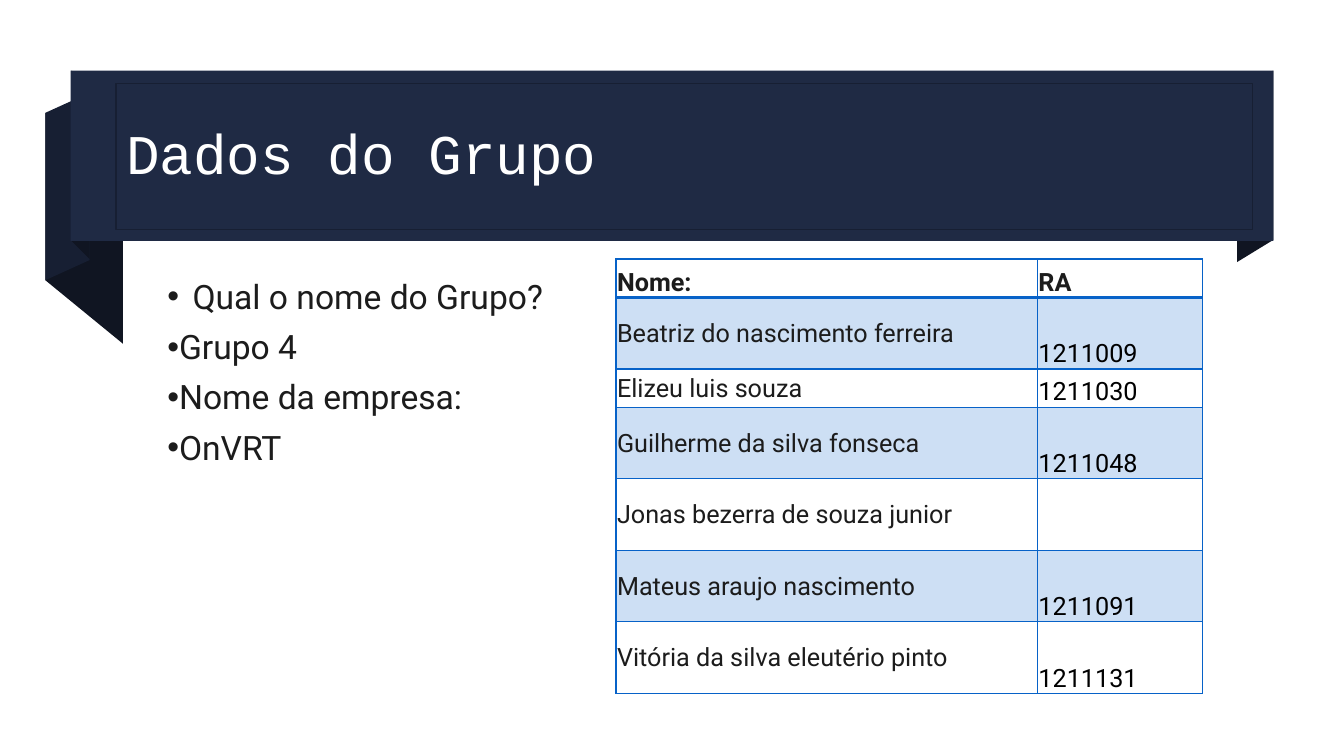
from lxml import etree
from pptx import Presentation
from pptx.dml.color import RGBColor
from pptx.enum.shapes import MSO_SHAPE
from pptx.enum.text import MSO_ANCHOR, MSO_AUTO_SIZE, PP_ALIGN
from pptx.oxml.ns import qn
from pptx.util import Inches, Pt

RECTANGLE = MSO_SHAPE.RECTANGLE
TOP, MIDDLE, BOTTOM = MSO_ANCHOR.TOP, MSO_ANCHOR.MIDDLE, MSO_ANCHOR.BOTTOM
LEFT = PP_ALIGN.LEFT
NO_AUTOFIT = MSO_AUTO_SIZE.NONE

COLORS = {
    "banner": "1F2A44",
    "fold": "171F33",
    "shade": "101522",
    "white": "FFFFFF",
    "text": "1C1C1C",
    "number": "000000",
    "table": "0762C8",
}
TITLE_FONT = "Courier New"
BODY_FONT = "Roboto"

RIBBON_FOLDS = [
    ("shade", [(12.63, 2.38), (12.27, 2.6), (12.27, 0.91), (12.63, 0.7)]),
    ("shade", [(1.22, 3.41), (0.45, 2.78), (0.45, 1.12), (1.22, 1.75)]),
    ("fold", [(0.89, 2.58), (0.45, 2.78), (0.45, 1.12), (0.89, 0.92)]),
    ("shade", [(0.89, 2.57), (0.71, 2.39), (0.71, 0.7), (0.89, 0.89)]),
]
GROUP_ITEMS = ["Qual o nome do Grupo?", "Grupo 4", "Nome da empresa:", "OnVRT"]
MEMBERS = [
    ("Nome:", "RA"),
    ("Beatriz do nascimento ferreira", "1211009"),
    ("Elizeu luis souza", "1211030"),
    ("Guilherme da silva fonseca", "1211048"),
    ("Jonas bezerra de souza junior", ""),
    ("Mateus araujo nascimento", "1211091"),
    ("Vitória da silva eleutério pinto", "1211131"),
]
COLUMN_WIDTHS = [4.18, 1.64]
SHORT_ROWS = (0, 2)


def rgb(name):
    return RGBColor.from_string(COLORS[name])


def place(shape, left, top, width, height):
    shape.left, shape.top = Inches(left), Inches(top)
    shape.width, shape.height = Inches(width), Inches(height)


def paint(shape, color):
    shape.shadow.inherit = False
    shape.fill.solid()
    shape.fill.fore_color.rgb = rgb(color)
    shape.line.fill.background()


def add_run(paragraph, text, size, font, color, bold=False):
    run = paragraph.add_run()
    run.text = text
    run.font.size = Pt(size)
    run.font.name = font
    run.font.bold = bold
    run.font.color.rgb = rgb(color)


def add_fold(slide, color, points):
    corners = [(Inches(x), Inches(y)) for x, y in points]
    builder = slide.shapes.build_freeform(*corners[0])
    builder.add_line_segments(corners[1:], close=True)
    paint(builder.convert_to_shape(), color)


def add_ribbon(slide):
    for color, points in RIBBON_FOLDS:
        add_fold(slide, color, points)
    banner = slide.shapes.add_shape(
        RECTANGLE, Inches(0.7), Inches(0.7), Inches(11.93), Inches(1.69))
    paint(banner, "banner")


def fill_title(slide):
    title = slide.shapes.title
    slide.shapes.element.append(title.element)
    place(title, 1.15, 0.83, 11.27, 1.45)
    geometry = etree.SubElement(
        title.element.spPr, qn("a:prstGeom"), prst="homePlate")
    etree.SubElement(geometry, qn("a:avLst"))
    title.fill.solid()
    title.fill.fore_color.rgb = rgb("banner")
    title.line.color.rgb = rgb("fold")
    title.line.width = Pt(1)
    frame = title.text_frame
    frame.auto_size = NO_AUTOFIT
    frame.vertical_anchor = MIDDLE
    paragraph = frame.paragraphs[0]
    paragraph.alignment = LEFT
    paragraph.line_spacing = 0.9
    paragraph.space_after = Pt(6)
    add_run(paragraph, "Dados do Grupo", 40, TITLE_FONT, "white")


def set_bullet(paragraph, margin):
    properties = paragraph._p.get_or_add_pPr()
    properties.set("marL", str(Inches(margin)))
    properties.set("indent", str(Inches(-0.25)))
    etree.SubElement(properties, qn("a:buFont"), typeface="Arial")
    etree.SubElement(properties, qn("a:buChar"), char="•")


def fill_list(slide):
    body = slide.placeholders[1]
    place(body, 1.56, 2.73, 4.43, 3.9)
    frame = body.text_frame
    frame.auto_size = NO_AUTOFIT
    frame.vertical_anchor = TOP
    for index, item in enumerate(GROUP_ITEMS):
        paragraph = frame.add_paragraph() if index else frame.paragraphs[0]
        paragraph.line_spacing = 0.9
        paragraph.space_before = Pt(10)
        set_bullet(paragraph, 0 if index else 0.25)
        add_run(paragraph, item, 24, BODY_FONT, "text")


def set_borders(cell, widths):
    properties = cell._tc.get_or_add_tcPr()
    for side, width in widths.items():
        line = etree.SubElement(properties, qn(f"a:ln{side}"), w=str(Pt(width)))
        solid = etree.SubElement(line, qn("a:solidFill"))
        etree.SubElement(solid, qn("a:srgbClr"), val=COLORS["table"])


def fill_band(cell):
    cell.fill.solid()
    cell.fill.fore_color.rgb = rgb("table")
    color = cell._tc.tcPr.find(qn("a:solidFill")).find(qn("a:srgbClr"))
    etree.SubElement(color, qn("a:alpha"), val="20000")


def fill_cell(cell, text, row, column):
    header = row == 0
    set_borders(cell, {"L": 1, "R": 1, "T": 2 if row == 1 else 1,
                       "B": 2 if header else 1})
    if row % 2:
        fill_band(cell)
    else:
        cell.fill.background()
    cell.margin_left = cell.margin_right = cell.margin_top = Inches(0.01)
    cell.margin_bottom = 0
    cell.vertical_anchor = BOTTOM if header or column else MIDDLE
    if text:
        color = "number" if column and not header else "text"
        add_run(cell.text_frame.paragraphs[0], text, 18, BODY_FONT, color, header)


def add_members_table(slide):
    frame = slide.shapes.add_table(
        len(MEMBERS), len(COLUMN_WIDTHS),
        Inches(6.11), Inches(2.57), Inches(5.82), Inches(4.32))
    table = frame.table
    table.first_row = table.horz_banding = False
    for column, width in zip(table.columns, COLUMN_WIDTHS):
        column.width = Inches(width)
    for row, values in enumerate(MEMBERS):
        table.rows[row].height = Inches(0.38 if row in SHORT_ROWS else 0.71)
        for column, text in enumerate(values):
            fill_cell(table.cell(row, column), text, row, column)


def main():
    presentation = Presentation()
    presentation.slide_width = Inches(13.33)
    presentation.slide_height = Inches(7.5)
    slide = presentation.slides.add_slide(presentation.slide_layouts[1])
    add_ribbon(slide)
    fill_title(slide)
    fill_list(slide)
    add_members_table(slide)
    presentation.save("out.pptx")


if __name__ == "__main__":
    main()
